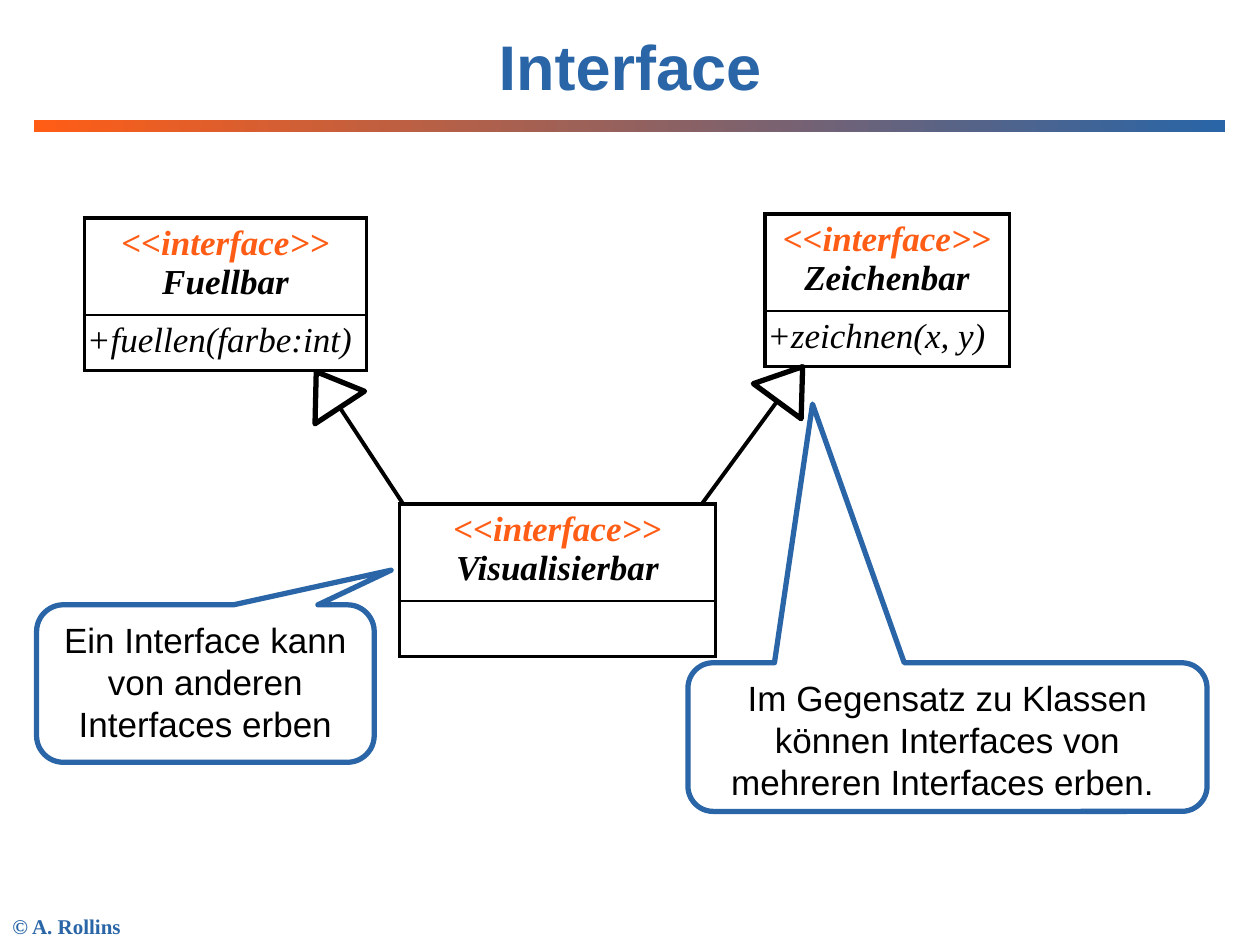
import math
from dataclasses import dataclass

import pptx
import pptx.dml.color
import pptx.enum.shapes
import pptx.enum.text
import pptx.oxml
import pptx.oxml.ns
import pptx.util
from lxml import etree

SHAPES = pptx.enum.shapes.MSO_SHAPE
ALIGN = pptx.enum.text.PP_ALIGN
ANCHOR = pptx.enum.text.MSO_ANCHOR


@dataclass(frozen=True)
class Theme:
    blue: str = "2965A7"
    orange: str = "FF5D15"
    ink: str = "000000"
    paper: str = "FFFFFF"
    sans: str = "Arial"
    serif: str = "Times New Roman"
    title_size: float = 36
    body_size: float = 20
    footer_size: float = 12
    heavy: float = 3
    medium: float = 2.25
    thin: float = 1


class InterfaceSlide:
    """Draws UML interface diagrams on a grid of 100 columns by 75 rows."""

    def __init__(self, deck, theme):
        self.theme = theme
        self.column = deck.slide_width / 100
        self.row = deck.slide_height / 75
        self.slide = deck.slides.add_slide(deck.slide_layouts[5])
        self.shapes = self.slide.shapes

    def place(self, left, top, width, height):
        return (round(left * self.column), round(top * self.row),
                round(width * self.column), round(height * self.row))

    def color(self, value):
        return pptx.dml.color.RGBColor.from_string(value)

    def style(self, font, face, size, color, bold=False, italic=False):
        font.name, font.size = face, pptx.util.Pt(size)
        font.bold, font.italic = bold, italic
        font.color.rgb = self.color(color)

    def fill(self, target, color):
        target.fill.solid()
        target.fill.fore_color.rgb = self.color(color)

    def outline(self, figure, color, width):
        figure.line.color.rgb = self.color(color)
        figure.line.width = pptx.util.Pt(width)

    def title(self, text, *area):
        heading = self.shapes.title
        heading.left, heading.top, heading.width, heading.height = self.place(*area)
        frame = heading.text_frame
        frame.text = text
        frame.vertical_anchor = ANCHOR.MIDDLE
        frame.paragraphs[0].alignment = ALIGN.CENTER
        self.style(frame.paragraphs[0].font, self.theme.sans,
                   self.theme.title_size, self.theme.blue, bold=True)

    def footer(self, text, *area):
        frame = self.shapes.add_textbox(*self.place(*area)).text_frame
        frame.word_wrap = True
        frame.text = text
        self.style(frame.paragraphs[0].font, self.theme.serif,
                   self.theme.footer_size, self.theme.blue, bold=True)

    def rule(self, *area):
        bar = self.shapes.add_shape(SHAPES.RECTANGLE, *self.place(*area))
        bar.shadow.inherit = False
        bar.line.fill.background()
        bar.fill.gradient()
        bar.fill.gradient_angle = 0
        for stop, color in zip(bar.fill.gradient_stops,
                               (self.theme.orange, self.theme.blue)):
            stop.color.rgb = self.color(color)

    def callout(self, text, pointer, *area):
        bubble = self.shapes.add_shape(SHAPES.ROUNDED_RECTANGULAR_CALLOUT,
                                       *self.place(*area))
        bubble.shadow.inherit = False
        for index, share in enumerate(pointer):
            bubble.adjustments[index] = share
        self.fill(bubble, self.theme.paper)
        self.outline(bubble, self.theme.blue, self.theme.heavy)
        frame = bubble.text_frame
        frame.word_wrap = True
        frame.vertical_anchor = ANCHOR.TOP
        frame.text = text
        frame.paragraphs[0].alignment = ALIGN.CENTER
        self.style(frame.paragraphs[0].font, self.theme.sans,
                   self.theme.body_size, self.theme.ink)

    def borders(self, cell, top, bottom):
        medium = self.theme.medium
        properties = cell._tc.get_or_add_tcPr()
        for side, width in zip("LRTB", (medium, medium, top, bottom)):
            properties.append(pptx.oxml.parse_xml(
                f'<a:ln{side} {pptx.oxml.ns.nsdecls("a")} w="{pptx.util.Pt(width)}">'
                f'<a:solidFill><a:srgbClr val="{self.theme.ink}"/></a:solidFill>'
                f'</a:ln{side}>'))

    def interface(self, name, method, left, top, width):
        theme = self.theme
        heights = (7.7, 4.4)
        table = self.shapes.add_table(
            2, 1, *self.place(left, top, width, sum(heights))).table
        table.first_row = table.horz_banding = False
        for row, height in zip(table.rows, heights):
            row.height = round(height * self.row)
        header, members = table.cell(0, 0), table.cell(1, 0)
        self.borders(header, theme.medium, theme.thin)
        self.borders(members, theme.thin, theme.medium)
        for cell in (header, members):
            self.fill(cell, theme.paper)
            cell.margin_left = cell.margin_right = round(0.2 * self.column)
        caption = header.text_frame.paragraphs[0]
        caption.alignment = ALIGN.CENTER
        for text, color in (("<<interface>>", theme.orange), (name, theme.ink)):
            if caption.runs:
                caption.add_line_break()
            run = caption.add_run()
            run.text = text
            self.style(run.font, theme.serif, theme.body_size, color, True, True)
        if method:
            members.text_frame.text = method
        self.style(members.text_frame.paragraphs[0].font, theme.serif,
                   theme.body_size, theme.ink, italic=True)

    def inherits(self, foot, tip):
        across, up = tip[0] - foot[0], foot[1] - tip[1]
        angle = math.atan2(across, up)
        base, height = 4.7, 3.4
        neck = (tip[0] - height * math.sin(angle), tip[1] + height * math.cos(angle))
        shaft = self.shapes.add_connector(
            pptx.enum.shapes.MSO_CONNECTOR.STRAIGHT,
            *self.place(*foot, *neck))
        etree.SubElement(shaft._element.spPr, pptx.oxml.ns.qn("a:effectLst"))
        self.outline(shaft, self.theme.ink, self.theme.medium)
        center = ((tip[0] + neck[0]) / 2, (tip[1] + neck[1]) / 2)
        head = self.shapes.add_shape(SHAPES.ISOSCELES_TRIANGLE, *self.place(
            center[0] - base / 2, center[1] - height / 2, base, height))
        head.shadow.inherit = False
        head.rotation = math.degrees(angle)
        head.fill.background()
        self.outline(head, self.theme.ink, self.theme.heavy)


def main():
    deck = pptx.Presentation()
    deck.slide_width, deck.slide_height = pptx.util.Inches(10), pptx.util.Inches(7.5)
    page = InterfaceSlide(deck, Theme())
    page.title("Interface", 7.5, 0, 85, 10.3)
    page.footer("© A. Rollins", 0, 72, 14.6, 3)
    page.rule(2.7, 9.5, 94.5, 1)
    page.callout("Im Gegensatz zu Klassen können Interfaces von mehreren "
                 "Interfaces erben. ", (-0.26, -2.24, 0.17), 54.6, 52.6, 41.2, 11.8)
    page.interface("Fuellbar", "+fuellen(farbe:int)", 6.7, 17.3, 22.4)
    page.interface("Zeichenbar", "+zeichnen(x, y)", 60.7, 17, 19.4)
    page.inherits((32, 40), (25.1, 29.5))
    page.inherits((55.7, 40), (63.7, 29.1))
    page.callout("Ein Interface kann von anderen Interfaces erben",
                 (0.55, -0.72, 0.17), 2.9, 48, 26.8, 12.5)
    page.interface("Visualisierbar", "", 31.7, 40, 25.1)
    deck.save("out.pptx")


if __name__ == "__main__":
    main()
